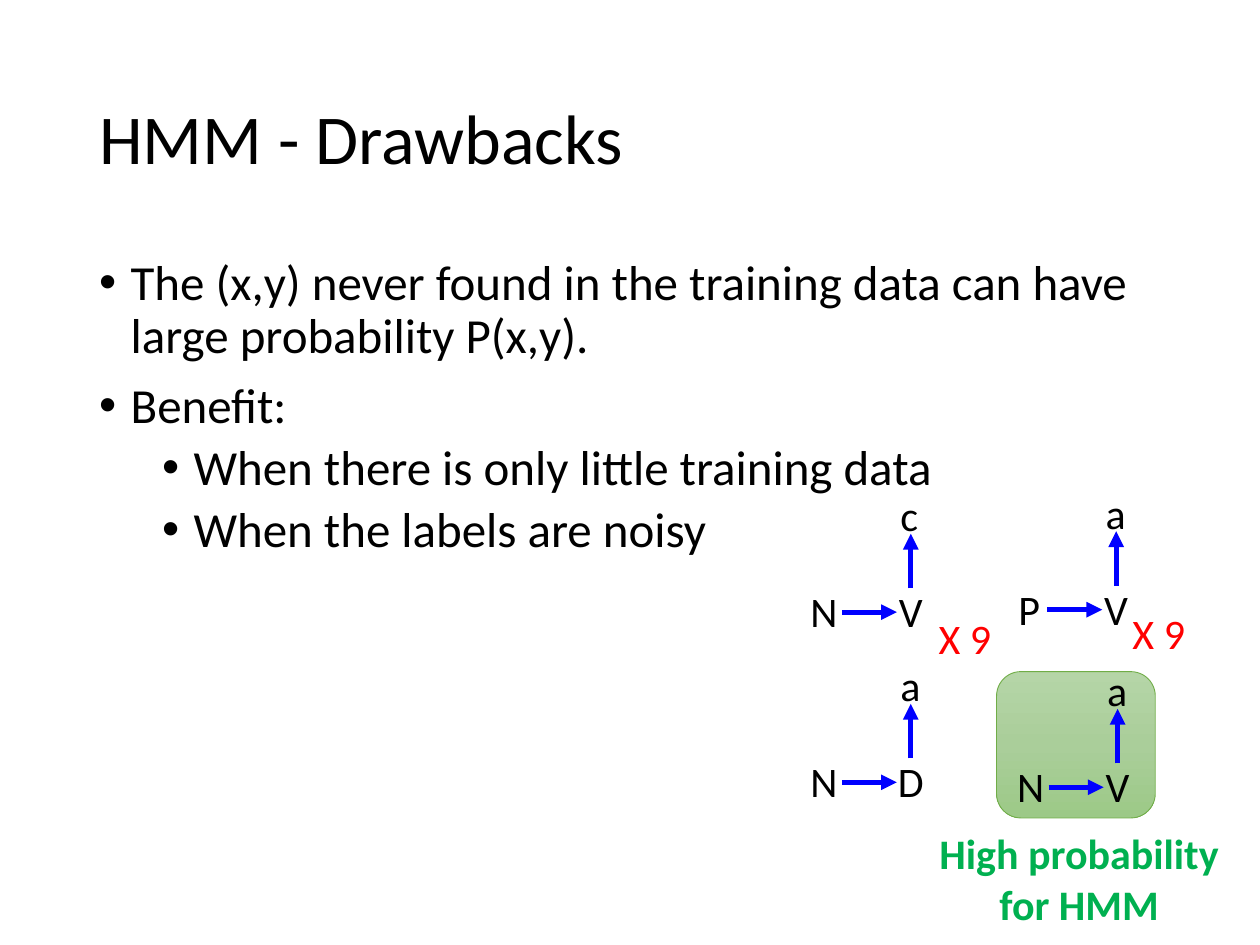
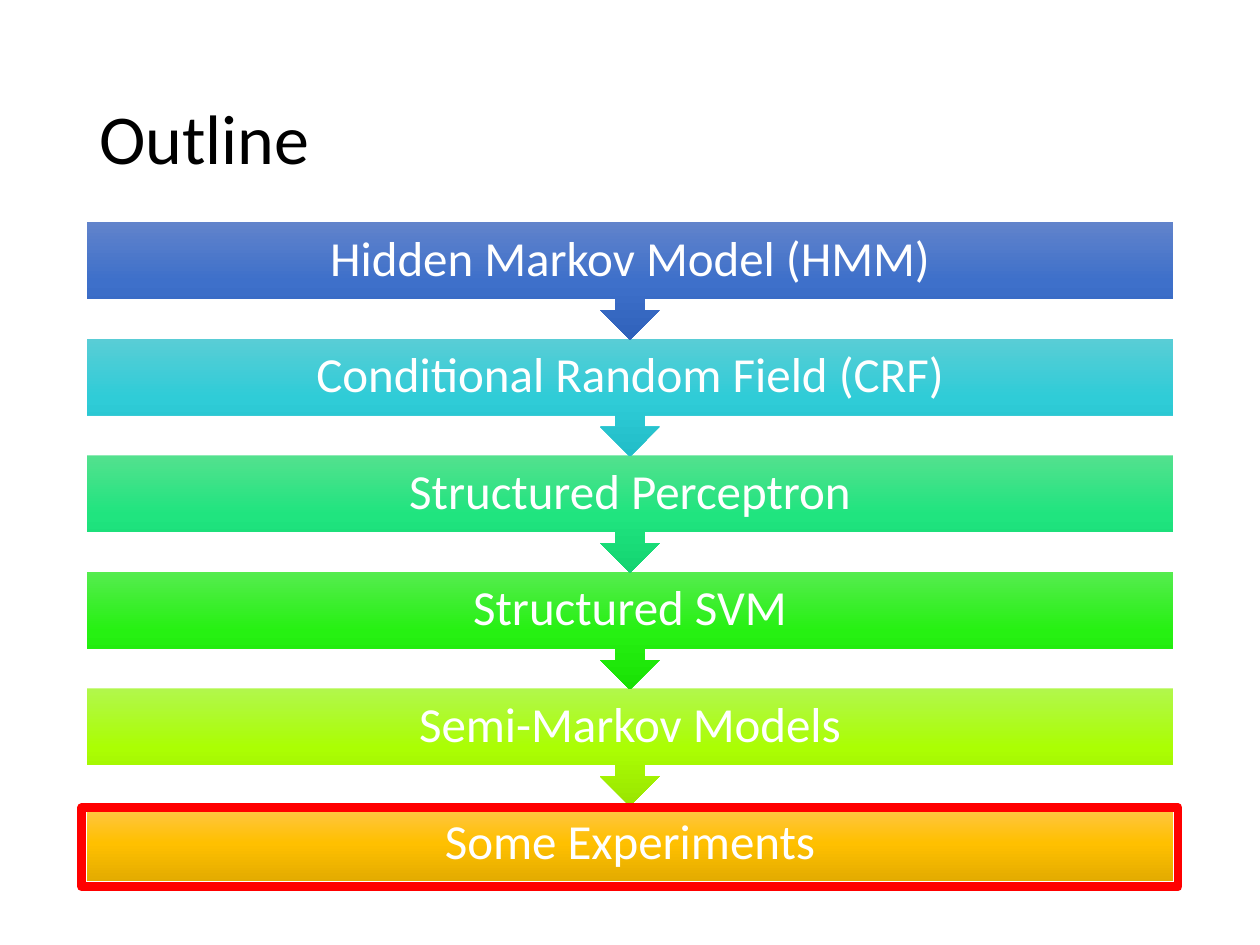
from copy import deepcopy

from lxml import etree
from pptx import Presentation
from pptx.dml.color import RGBColor
from pptx.enum import shapes, text
from pptx.oxml import ns
from pptx.util import Cm, Pt

COLORS = {
    "ink": "000000",
    "white": "FFFFFF",
    "arrow": "0000FF",
    "red": "FF0000",
    "green": "00B050",
    "card_line": "70AD47",
}
CARD_GRADIENT = ("B5D5A7", "AACE9A", "9CC987")
FONT = "Calibri"
MARGIN, CONTENT_WIDTH = 1.75, 21.9

BULLETS = [
    (0, "The (x,y) never found in the training data can have large probability P(x,y)."),
    (0, "Benefit:"),
    (1, "When there is only little training data"),
    (1, "When the labels are noisy"),
]
TREES = [
    (15.49, 9.75, "N", "V", "c"),
    (19.63, 9.7, "P", "V", "a"),
    (15.49, 13.18, "N", "D", "a"),
    (19.66, 13.28, "N", "V", "a"),
]
STEPS = [
    ("Hidden Markov Model (HMM)", ("6183CB", "3E70CA", "3062BB")),
    ("Conditional Random Field (CRF)", ("59CDD6", "2FCCD7", "21BDC8")),
    ("Structured Perceptron", ("53E18E", "20E47F", "13D471")),
    ("Structured SVM", ("55EC4E", "26F112", "19E104")),
    ("Semi-Markov Models", ("B1F74C", "ABFE03", "99E400")),
    ("Some Experiments", ("FFC64B", "FFC000", "E3AB00")),
]


def rgb(name):
    return RGBColor.from_string(COLORS[name])


def style(paragraph, size, color="ink", bold=False, align=text.PP_ALIGN.LEFT):
    paragraph.alignment = align
    font = paragraph.font
    font.name, font.size, font.bold = FONT, Pt(size), bold
    font.color.rgb = rgb(color)


def add_label(parent, left, top, width, words, height=1.27, **look):
    box = parent.shapes.add_textbox(Cm(left), Cm(top), Cm(width), Cm(height))
    frame = box.text_frame
    frame.word_wrap = True
    frame.auto_size = text.MSO_AUTO_SIZE.SHAPE_TO_FIT_TEXT
    frame.text = words
    style(frame.paragraphs[0], 24, **look)


def add_arrow(parent, x1, y1, x2, y2):
    arrow = parent.shapes.add_connector(
        shapes.MSO_CONNECTOR.STRAIGHT, Cm(x1), Cm(y1), Cm(x2), Cm(y2))
    arrow.line.color.rgb = rgb("arrow")
    arrow.line.width = Pt(3)
    etree.SubElement(arrow.line._get_or_add_ln(), ns.qn("a:tailEnd"), type="triangle")
    etree.SubElement(arrow._element.spPr, ns.qn("a:effectLst"))


def add_block(page, kind, left, top, width, height, gradient=None):
    block = page.shapes.add_shape(kind, Cm(left), Cm(top), Cm(width), Cm(height))
    block.shadow.inherit = False
    block.line.fill.background()
    if gradient is None:
        block.fill.background()
        return block
    block.fill.gradient()
    block.fill.gradient_angle = 270
    stop_list = block._element.spPr.find(".//" + ns.qn("a:gsLst"))
    stop_list.append(deepcopy(stop_list[-1]))
    for stop, position, color in zip(block.fill.gradient_stops, (0, 0.5, 1), gradient):
        stop.position = position
        stop.color.rgb = RGBColor.from_string(color)
    return block


def add_page(deck, title):
    page = deck.slides.add_slide(deck.slide_layouts[5])
    heading = page.shapes.title
    heading.left, heading.top = Cm(MARGIN), Cm(1.01)
    heading.width, heading.height = Cm(CONTENT_WIDTH), Cm(3.68)
    frame = heading.text_frame
    frame.text = title
    frame.vertical_anchor = text.MSO_ANCHOR.MIDDLE
    frame.auto_size = text.MSO_AUTO_SIZE.NONE
    paragraph = frame.paragraphs[0]
    paragraph.line_spacing = 0.9
    style(paragraph, 40)
    return page


def add_bullets(page, left, top, width, height):
    box = page.shapes.add_textbox(Cm(left), Cm(top), Cm(width), Cm(height))
    frame = box.text_frame
    frame.word_wrap = True
    for index, (level, words) in enumerate(BULLETS):
        paragraph = frame.paragraphs[0] if index == 0 else frame.add_paragraph()
        paragraph.text = words
        paragraph.level = level
        paragraph.line_spacing = 0.9
        paragraph.space_before = Pt((10, 5)[level] if index else 0)
        properties = paragraph._p.get_or_add_pPr()
        properties.set("marL", str(Cm(0.635 + 1.27 * level)))
        properties.set("indent", str(-Cm(0.635)))
        etree.SubElement(properties, ns.qn("a:buFont"), typeface="Arial")
        etree.SubElement(properties, ns.qn("a:buChar"), char="•")
        style(paragraph, 28)


def add_tree(page, left, top, first_tag, second_tag, word):
    tree = page.shapes.add_group_shape()
    center = text.PP_ALIGN.CENTER
    add_label(tree, left, top + 1.93, 2.24, first_tag, align=center)
    add_label(tree, left + 1.75, top + 1.93, 2.24, second_tag, align=center)
    add_label(tree, left + 2.41, top, 1.12, word)
    add_arrow(tree, left + 1.48, top + 2.59, left + 2.59, top + 2.59)
    add_arrow(tree, left + 2.87, top + 2.11, left + 2.87, top + 1.01)


def build_drawbacks(deck):
    page = add_page(deck, "HMM - Drawbacks")
    add_bullets(page, MARGIN, 5.08, CONTENT_WIDTH, 12.09)
    card = add_block(page, shapes.MSO_SHAPE.ROUNDED_RECTANGLE,
                     20.09, 13.54, 3.2, 2.95, CARD_GRADIENT)
    card.line.color.rgb = rgb("card_line")
    card.line.width = Pt(0.5)
    for tree in TREES:
        add_tree(page, *tree)
    for left, top in ((18.67, 12.22), (22.58, 12.12)):
        add_label(page, left, top, 2.8, "X 9", color="red")
    add_label(page, 18.54, 16.56, 6.43, "High probability for HMM", height=2.31,
              color="green", bold=True, align=text.PP_ALIGN.CENTER)


def add_steps(page, left, top, width, pitch, bar_height):
    last = len(STEPS) - 1
    for index, (words, gradient) in reversed(list(enumerate(STEPS))):
        kind, height = shapes.MSO_SHAPE.DOWN_ARROW_CALLOUT, pitch + 0.02
        if index == last:
            kind, height = shapes.MSO_SHAPE.RECTANGLE, bar_height
        step = add_block(page, kind, left, top + index * pitch, width, height, gradient)
        frame = step.text_frame
        frame.margin_top = frame.margin_bottom = 0
        frame.vertical_anchor = text.MSO_ANCHOR.MIDDLE
        frame.text = words
        frame.paragraphs[0].line_spacing = 0.9
        style(frame.paragraphs[0], 28, "white", align=text.PP_ALIGN.CENTER)
    marker = add_block(page, shapes.MSO_SHAPE.RECTANGLE, left - 0.1,
                       top + last * pitch + 0.05, width + 0.2, bar_height + 0.06)
    marker.line.color.rgb = rgb("red")
    marker.line.width = Pt(5)


def build_outline(deck):
    page = add_page(deck, "Outline")
    add_steps(page, MARGIN, 4.48, CONTENT_WIDTH, 2.35, 1.54)


def main():
    deck = Presentation()
    deck.slide_width, deck.slide_height = Cm(25.4), Cm(19.05)
    build_drawbacks(deck)
    build_outline(deck)
    deck.save("out.pptx")


if __name__ == "__main__":
    main()
